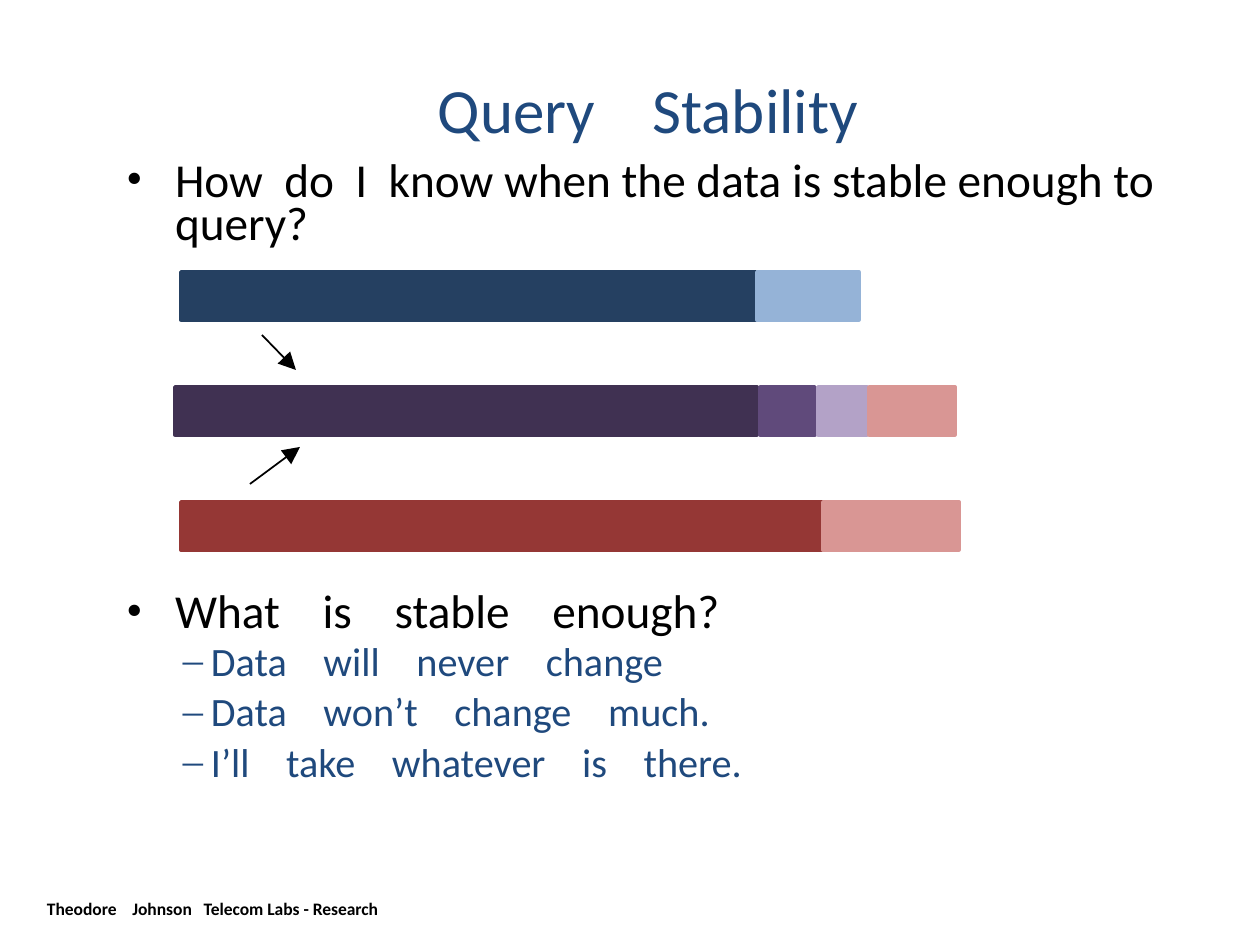
from dataclasses import dataclass

from lxml.etree import SubElement
from pptx import Presentation
from pptx.dml.color import RGBColor
from pptx.enum.shapes import MSO_CONNECTOR, MSO_SHAPE
from pptx.oxml.ns import qn
from pptx.util import Emu, Pt


@dataclass(frozen=True)
class Theme:
    """Hold the fonts, type sizes and colours of the slide."""
    font: str = "Calibri"
    mark: str = "Times New Roman"
    title: int = 36
    body: int = 27
    sub: int = 23
    foot: int = 10
    ink: str = "000000"
    blue: str = "1F497D"
    navy: str = "254061"
    sky: str = "95B3D7"
    plum: str = "403152"
    grape: str = "604A7B"
    lilac: str = "B3A2C7"
    brick: str = "953735"
    rose: str = "D99694"
    space: float = 0.226


THEME = Theme()


def px(num):
    """Turn pixels into EMU."""
    return Emu(round(num * 914400 / 126))


def rgb(code):
    """Turn a hex code into a colour."""
    return RGBColor.from_string(code)


def add_mark(para, mark, indent):
    """Give a paragraph a bullet with a hanging indent."""
    props = para._p.get_or_add_pPr()
    props.set("marL", str(px(indent)))
    props.set("indent", str(-px(indent)))
    SubElement(props, qn("a:buFont")).set("typeface", THEME.mark)
    SubElement(props, qn("a:buChar")).set("char", mark)


def add_run(para, text, size, color, bold, extra=0):
    """Add one run, with extra tracking in points."""
    run = para.add_run()
    run.text = text
    font = run.font
    font.name, font.size, font.bold = THEME.font, Pt(size), bold
    font.color.rgb = rgb(color)
    if extra:
        run._r.get_or_add_rPr().set("spc", str(round(extra * 100)))


def add_words(para, text, wide, size, color, bold):
    """Write text whose word gaps are wider by a number of spaces."""
    if not wide:
        add_run(para, text, size, color, bold)
        return
    for pos, word in enumerate(text.split(" ")):
        if pos:
            add_run(para, " ", size, color, bold, wide * THEME.space * size)
        if word:
            add_run(para, word, size, color, bold)


def add_text(slide, box, lines, size, lead, color=THEME.ink, bold=False,
             mark=None, indent=0):
    """Add a text box; each line is a list of text and gap pairs."""
    frame = slide.shapes.add_textbox(*map(px, box)).text_frame
    frame.word_wrap = True
    frame.margin_left = frame.margin_right = 0
    frame.margin_top = frame.margin_bottom = 0
    for pos, line in enumerate(lines):
        para = frame.add_paragraph() if pos else frame.paragraphs[0]
        if mark:
            add_mark(para, mark, indent)
        para.line_spacing = Pt(lead)
        for text, wide in line:
            add_words(para, text, wide, size, color, bold)


def add_bar(slide, top, left, right, color):
    """Add one segment of a data bar."""
    bar = slide.shapes.add_shape(
        MSO_SHAPE.RECTANGLE, px(left), px(top), px(right - left), px(48))
    bar.shadow.inherit = False
    bar.fill.solid()
    bar.fill.fore_color.rgb = bar.line.color.rgb = rgb(color)
    bar.line.width = Pt(2)


def add_arrow(slide, start, end):
    """Add an arrow between two points."""
    arrow = slide.shapes.add_connector(
        MSO_CONNECTOR.STRAIGHT, *map(px, start + end))
    arrow.line.color.rgb = rgb(THEME.ink)
    arrow.line.width = Pt(1)
    line = arrow.line._get_or_add_ln()
    SubElement(line, qn("a:tailEnd"), type="triangle", w="lg", len="lg")
    SubElement(arrow._element.spPr, qn("a:effectLst"))


def main():
    """Build the slide and save it."""
    deck = Presentation()
    deck.slide_width, deck.slide_height = px(1260), px(945)
    slide = deck.slides.add_slide(deck.slide_layouts[6])

    add_text(slide, (438, 71, 480, 82), [[("Query Stability", 3)]],
             THEME.title, 43.1, THEME.blue)
    add_text(slide, (126, 164, 1050, 90),
             [[("How do I know", 1),
               (" when the data is stable enough to query?", 0)]],
             THEME.body, 24.5, mark="•", indent=49)

    rows = [
        [(181, 756, THEME.navy), (757, 859, THEME.sky)],
        [(175, 757, THEME.plum), (760, 815, THEME.grape),
         (818, 867, THEME.lilac), (869, 955, THEME.rose)],
        [(181, 822, THEME.brick), (823, 959, THEME.rose)],
    ]
    for pos, row in enumerate(rows):
        for left, right, color in row:
            add_bar(slide, 272 + 115 * pos, left, right, color)
    add_arrow(slide, (262, 335), (296, 370))
    add_arrow(slide, (250, 484), (300, 447))

    add_text(slide, (126, 582, 900, 60), [[("What is stable enough?", 3)]],
             THEME.body, 32.3, mark="•", indent=49)
    claims = ["Data will never change", "Data won’t change much.",
              "I’ll take whatever is there."]
    add_text(slide, (183, 634, 900, 156), [[(claim, 3)] for claim in claims],
             THEME.sub, 28.8, THEME.blue, mark="–", indent=28)
    add_text(slide, (47, 858, 605, 62),
             [[("Theodore Johnson", 3), (" Telecom", 2),
               (" Labs - Research", 0)]],
             THEME.foot, 35, bold=True)
    deck.save("out.pptx")


if __name__ == "__main__":
    main()
